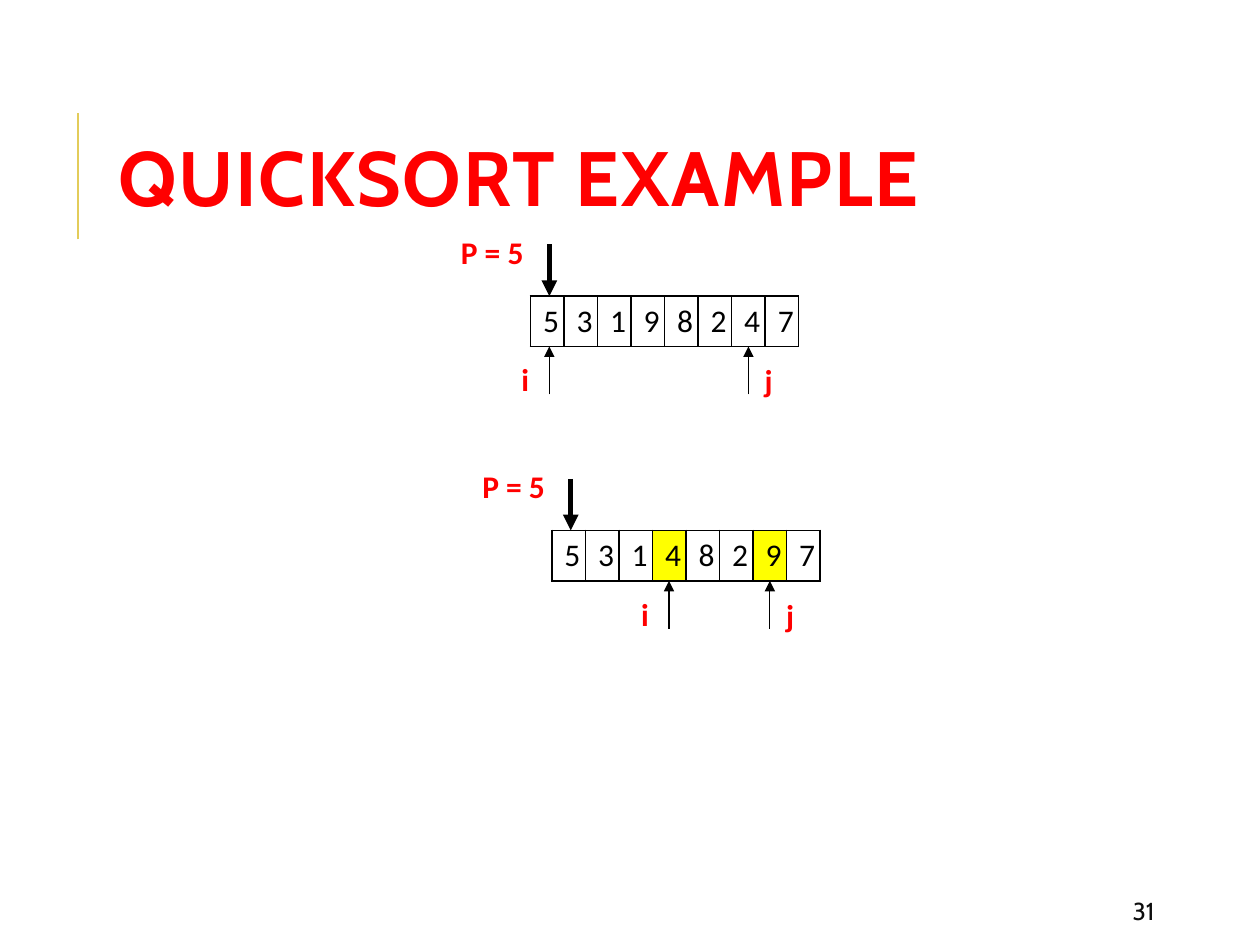
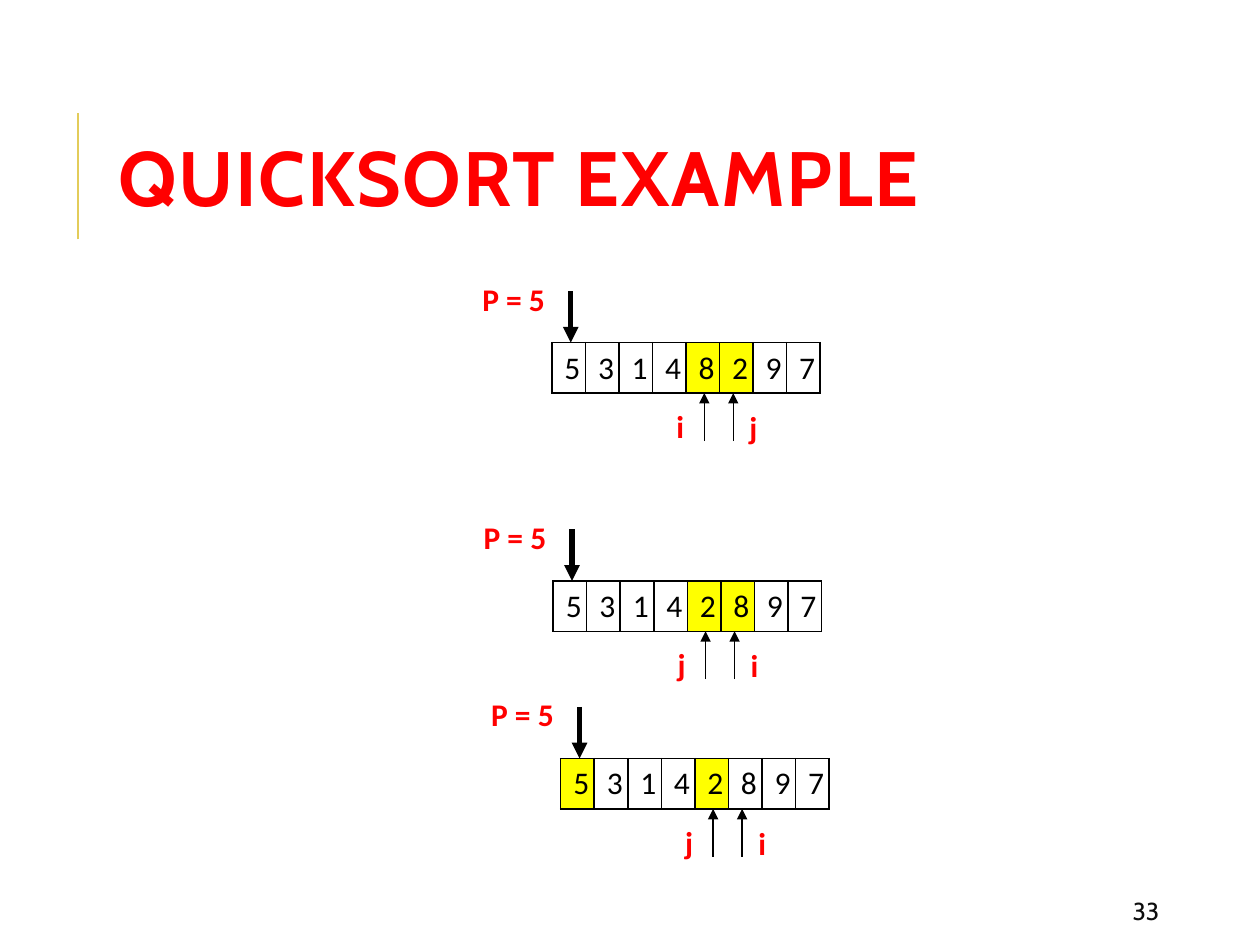
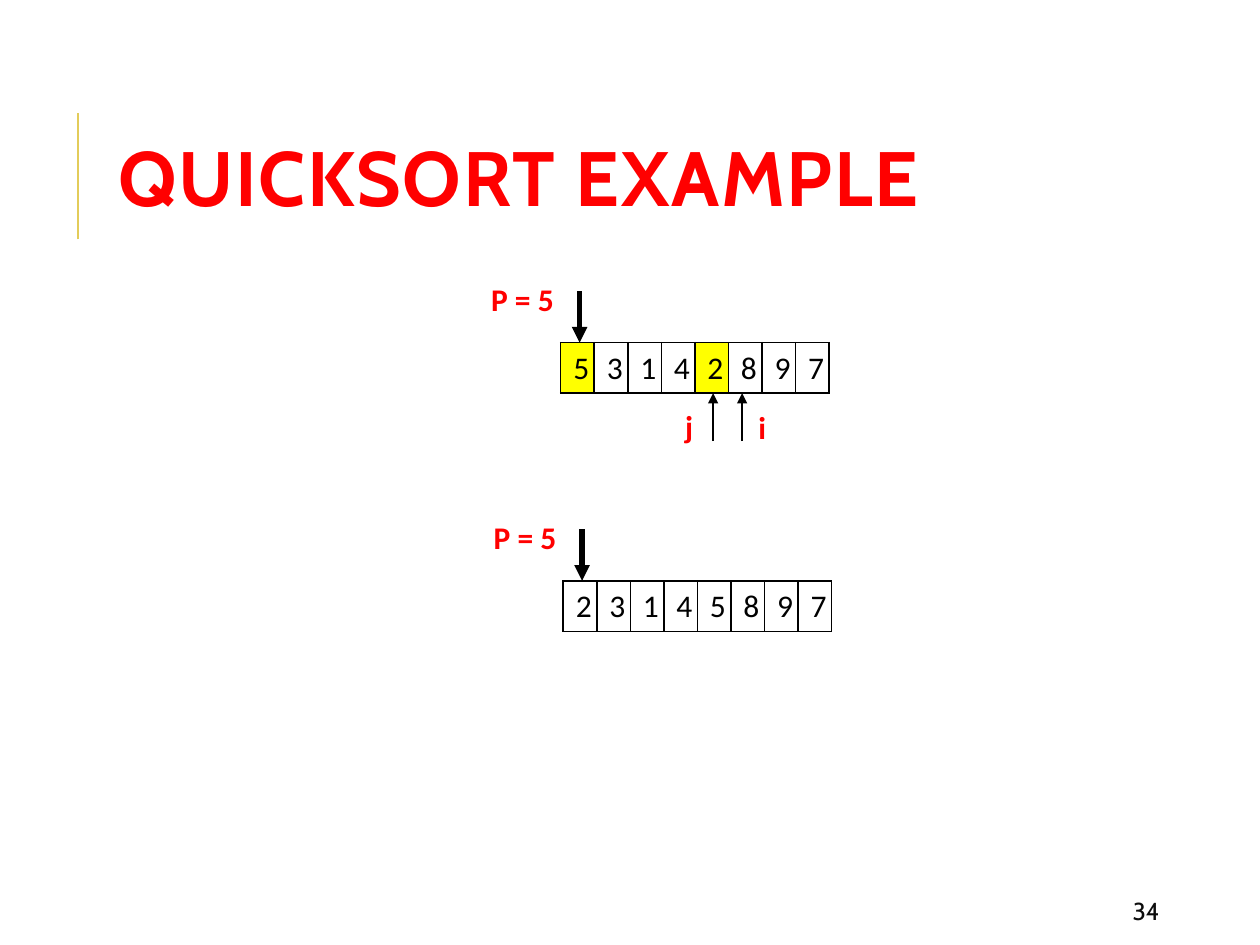
from lxml import etree
from pptx import Presentation
from pptx import util as u
from pptx.dml.color import RGBColor
from pptx.enum import shapes, text
from pptx.oxml import ns

RED, BLACK, YELLOW, WHITE, GOLD, GREY = (
    "FF0000", "000000", "FFFF00", "FFFFFF", "E3CC5A", "0D0D0D")
TAG = dict(name="Calibri", size=u.Pt(18), bold=True, color=RED)
DIGIT = dict(TAG, bold=False, color=BLACK)
HEAD = dict(name="Cabin", size=u.Pt(44), bold=True, color=RED)
FOOT = dict(name="Cabin", size=u.Pt(14), color=GREY)
WIDE, HIGH = 2.13, 0.4
DROP = 0.15

SLIDES = [
    (31, [
        (4.21, 2.35, "53198247", "", ("i", 0.15), ("j", 1.73)),
        (4.38, 4.21, "53148297", "49", ("i", 0.93), ("j", 1.73)),
    ]),
    (33, [
        (4.38, 2.72, "53148297", "82", ("i", 1.21), ("j", 1.44)),
        (4.39, 4.61, "53142897", "28", ("j", 1.21), ("i", 1.44)),
        (4.45, 6.02, "53142897", "52", ("j", 1.21), ("i", 1.44)),
    ]),
    (34, [
        (4.45, 2.72, "53142897", "52", ("j", 1.21), ("i", 1.44)),
        (4.47, 4.61, "23145897", "", None, None),
    ]),
]


def paint(value):
    return RGBColor.from_string(value)


def style(font, form):
    for key, value in form.items():
        if key == "color":
            font.color.rgb = paint(value)
        else:
            setattr(font, key, value)


def write(slide, words, box, form, **frame):
    shape = slide.shapes.add_textbox(*map(u.Inches, box))
    body = shape.text_frame
    for key, value in frame.items():
        setattr(body, key, value)
    run = body.paragraphs[0].add_run()
    run.text = words
    style(run.font, form)
    return run


def tag(slide, words, left, top, wide):
    write(slide, words, (left, top, wide, HIGH), TAG, word_wrap=False,
          auto_size=text.MSO_AUTO_SIZE.SHAPE_TO_FIT_TEXT)


def rule(slide, x, start, end, tone, weight, tip=False):
    line = slide.shapes.add_connector(
        shapes.MSO_CONNECTOR.STRAIGHT, *map(u.Inches, (x, start, x, end)))
    line.line.color.rgb = paint(tone)
    line.line.width = u.Pt(weight)
    if tip:
        etree.SubElement(line.line._get_or_add_ln(), ns.qn("a:tailEnd"),
                         type="triangle")
    etree.SubElement(line._element.spPr, ns.qn("a:effectLst"))


def edge(cell):
    props = cell._tc.get_or_add_tcPr()
    for side in "LRTB":
        line = etree.SubElement(props, ns.qn(f"a:ln{side}"), w=str(u.Pt(1)))
        fill = etree.SubElement(line, ns.qn("a:solidFill"))
        etree.SubElement(fill, ns.qn("a:srgbClr"), val=BLACK)


def grid(slide, left, top, digits, marked):
    table = slide.shapes.add_table(
        1, len(digits), *map(u.Inches, (left, top, WIDE, HIGH))).table
    table.first_row = table.horz_banding = False
    for col, digit in enumerate(digits):
        table.columns[col].width = u.Inches(WIDE / len(digits))
        cell = table.cell(0, col)
        edge(cell)
        cell.fill.solid()
        cell.fill.fore_color.rgb = paint(YELLOW if digit in marked else WHITE)
        part = cell.text_frame.paragraphs[0]
        part.alignment = text.PP_ALIGN.CENTER
        run = part.add_run()
        run.text = digit
        style(run.font, DIGIT)


def step(slide, left, top, digits, marked, first, second):
    grid(slide, left, top, digits, marked)
    tag(slide, "P = 5", left - 0.65, top - 0.55, 0.84)
    rule(slide, left + DROP, top - 0.41, top, BLACK, 3, True)
    for mark, shift, down in ((first, -0.32, 0.46), (second, 0.03, 0.47)):
        if mark:
            name, dx = mark
            rule(slide, left + dx, top + 0.78, top + HIGH, BLACK, 0.75, True)
            tag(slide, name, left + dx + shift, top + down, 0.27)


def base(slide, number):
    rule(slide, 0.62, 1.9, 0.9, GOLD, 1.5)
    middle = dict(word_wrap=True, vertical_anchor=text.MSO_ANCHOR.MIDDLE)
    run = write(slide, "QUICKSORT EXAMPLE", (0.84, 0.64, 7.97, 1.64), HEAD,
                **middle)
    run.font._element.set("spc", "100")
    slide.shapes[-1].text_frame.paragraphs[0].line_spacing = 0.8
    write(slide, str(number), (8.89, 7.08, 0.8, 0.3), FOOT, **middle)


def main():
    deck = Presentation()
    deck.slide_width, deck.slide_height = u.Inches(10), u.Inches(7.5)
    for number, steps in SLIDES:
        slide = deck.slides.add_slide(deck.slide_layouts[6])
        base(slide, number)
        for item in steps:
            step(slide, *item)
    deck.save("out.pptx")


if __name__ == "__main__":
    main()
